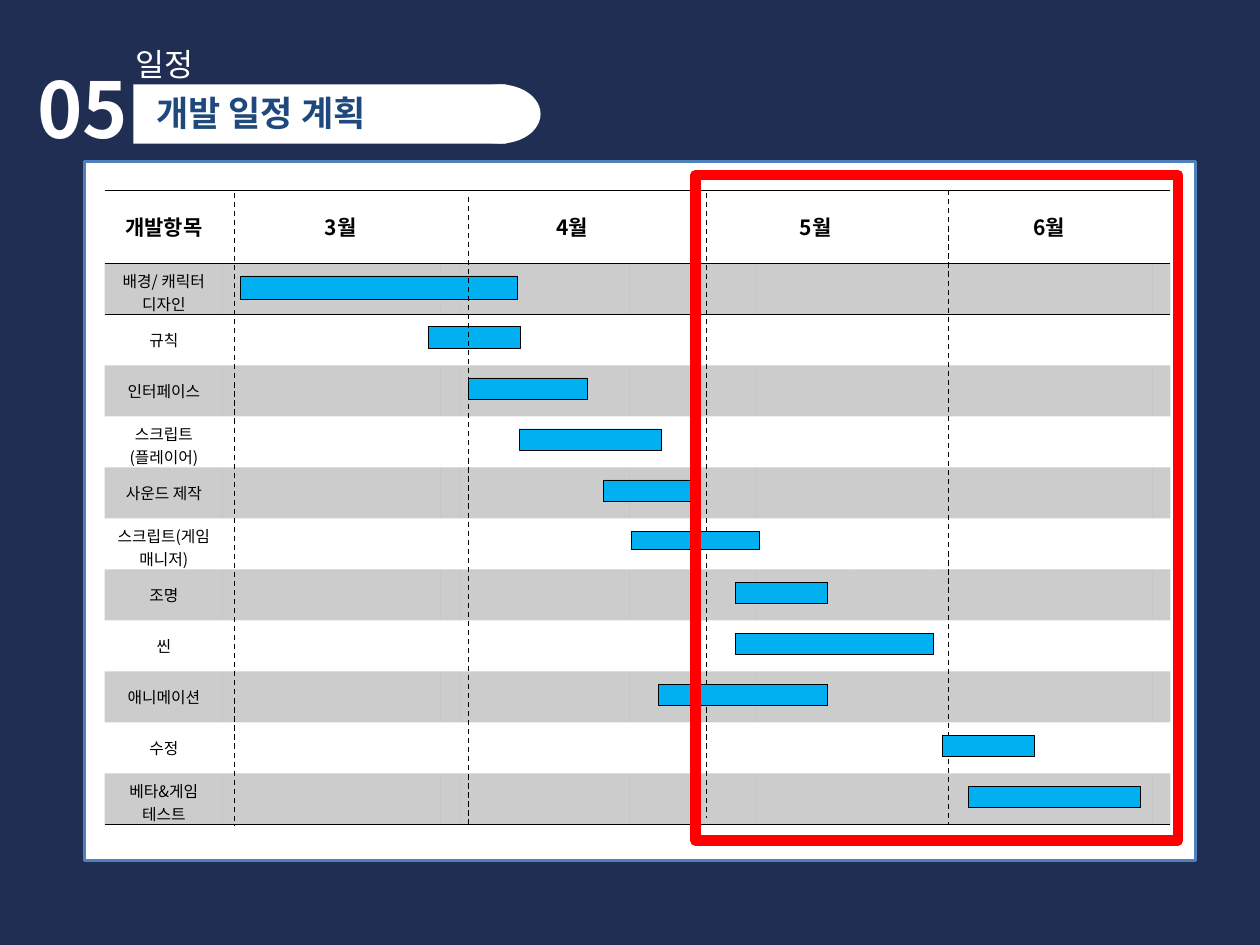
from dataclasses import dataclass

from lxml import etree
from pptx import Presentation
from pptx.dml.color import RGBColor
from pptx.enum.dml import MSO_LINE
from pptx.enum.shapes import MSO_CONNECTOR, MSO_SHAPE
from pptx.enum.text import MSO_ANCHOR, MSO_AUTO_SIZE, PP_ALIGN
from pptx.oxml.ns import qn
from pptx.util import Inches, Pt

RECTANGLE = MSO_SHAPE.RECTANGLE
OVAL = MSO_SHAPE.OVAL
STRAIGHT = MSO_CONNECTOR.STRAIGHT
DASH = MSO_LINE.DASH
TOP, MIDDLE = MSO_ANCHOR.TOP, MSO_ANCHOR.MIDDLE
LEFT, CENTER = PP_ALIGN.LEFT, PP_ALIGN.CENTER
FIT_SHAPE = MSO_AUTO_SIZE.SHAPE_TO_FIT_TEXT
PLAIN_TABLE = "{2D5ABB26-0587-4C30-8999-92F81FD0307C}"


@dataclass(frozen=True)
class Theme:
    font: str = "Noto Sans CJK KR"
    navy: str = "212E53"
    white: str = "FFFFFF"
    black: str = "000000"
    title: str = "1F497D"
    frame: str = "4F81BD"
    bar: str = "00B0F0"
    highlight: str = "FF0000"
    number_size: int = 44
    title_size: int = 20
    section_size: int = 18
    header_size: int = 12
    label_size: int = 9
    band_opacity: int = 20


THEME = Theme()

TABLE_LEFT, TABLE_TOP = 0.83, 1.51
HEADER_HEIGHT, ROW_HEIGHT = 0.58, 0.405
BAR_OFFSET = 0.1
COLUMN_WIDTHS = [0.94, 1.73, 0.15, 1.35, 1, 0.75, 0.65, 1.75, 0.13]
HEADERS = {0: ("개발항목", 0), 1: ("3월", 0.14), 3: ("4월", 0.43),
           5: ("5월", 0.2), 7: ("6월", 0.1)}
MONTH_LINES = [(1.86, 1.53, 6.55), (3.72, 1.56, 6.55),
               (5.61, 1.53, 6.49), (7.53, 1.51, 6.55)]
TASKS = [
    ("배경/ 캐릭터\n디자인", 1.91, 2.2, 0.19),
    ("규칙", 3.4, 0.73, 0.17),
    ("인터페이스", 3.72, 0.94, 0.17),
    ("스크립트(플레이어)", 4.12, 1.13, 0.17),
    ("사운드 제작", 4.79, 0.73, 0.17),
    ("스크립트(게임 매니저)", 5.01, 1.02, 0.15),
    ("조명", 5.84, 0.73, 0.17),
    ("씬", 5.84, 1.57, 0.17),
    ("애니메이션", 5.23, 1.34, 0.17),
    ("수정", 7.48, 0.73, 0.17),
    ("베타&게임\n테스트", 7.69, 1.36, 0.17),
]
TASKS_BEHIND_LINES = 2


def color(value):
    return RGBColor.from_string(value)


def format_text(frame, size, ink, bold=False, align=LEFT):
    for para in frame.paragraphs:
        para.alignment = align
        for span in para.runs:
            span.font.name = THEME.font
            span.font.size = Pt(size)
            span.font.bold = bold
            span.font.color.rgb = color(ink)
            properties = span.font._element
            etree.SubElement(properties, qn("a:ea"), typeface=THEME.font)


def add_text(page, text, bounds, size, bold=False):
    box = page.shapes.add_textbox(*map(Inches, bounds))
    frame = box.text_frame
    frame.text = text
    frame.word_wrap = True
    frame.auto_size = FIT_SHAPE
    format_text(frame, size, THEME.white, bold)


def add_shape(shapes, kind, bounds, fill=None, line=None, width=0):
    shape = shapes.add_shape(kind, *map(Inches, bounds))
    shape.shadow.inherit = False
    if fill:
        shape.fill.solid()
        shape.fill.fore_color.rgb = color(fill)
    else:
        shape.fill.background()
    if line:
        shape.line.color.rgb = color(line)
        shape.line.width = Pt(width)
    else:
        shape.line.fill.background()


def add_month_line(page, x, top, bottom):
    line = page.shapes.add_connector(
        STRAIGHT, Inches(x), Inches(top), Inches(x), Inches(bottom))
    line.line.color.rgb = color(THEME.black)
    line.line.width = Pt(0.75)
    line.line.dash_style = DASH
    etree.SubElement(line._element.spPr, qn("a:effectLst"))


def add_heading(page):
    add_text(page, "05", (0.2, 0.44, 1.1, 0.84), THEME.number_size, True)
    banner = page.shapes.add_group_shape()
    add_shape(banner.shapes, RECTANGLE, (1.06, 0.67, 2.96, 0.47), THEME.white)
    add_shape(banner.shapes, OVAL, (3.64, 0.67, 0.65, 0.47), THEME.white)
    title = page.shapes.title
    title.left, title.top, title.width, title.height = map(
        Inches, (1.14, 0.68, 2.92, 0.44))
    frame = title.text_frame
    frame.text = "개발 일정 계획"
    frame.vertical_anchor = TOP
    frame.auto_size = FIT_SHAPE
    format_text(frame, THEME.title_size, THEME.title, True)
    banner._element.addnext(title._element)
    add_text(page, "일정", (0.98, 0.31, 2.24, 0.4), THEME.section_size)


def add_border(cell, side):
    properties = cell._tc.get_or_add_tcPr()
    line = etree.Element(qn(f"a:{side}"), w=str(Pt(0.45)))
    fill = etree.SubElement(line, qn("a:solidFill"))
    etree.SubElement(fill, qn("a:srgbClr"), val=THEME.black)
    position = 1 if side == "lnB" and len(properties.findall(qn("a:lnT"))) else 0
    properties.insert(position, line)


def format_cell(cell, banded, text, size, bold, indent=0):
    cell.margin_left = Inches(0.05 + indent)
    cell.margin_right = cell.margin_top = cell.margin_bottom = Inches(0.05)
    cell.vertical_anchor = MIDDLE
    if banded:
        cell.fill.solid()
        cell.fill.fore_color.rgb = color(THEME.black)
        tint = cell._tc.tcPr.find(".//" + qn("a:srgbClr"))
        etree.SubElement(tint, qn("a:alpha"), val=str(THEME.band_opacity * 1000))
    else:
        cell.fill.background()
    if text:
        cell.text_frame.text = text
        format_text(cell.text_frame, size, THEME.black, bold, CENTER)
    else:
        para = cell.text_frame.paragraphs[0]
        etree.SubElement(para._p, qn("a:endParaRPr"), sz=str(size * 100))


def add_schedule(page):
    row_count = len(TASKS) + 1
    frame = page.shapes.add_table(
        row_count, len(COLUMN_WIDTHS), Inches(TABLE_LEFT), Inches(TABLE_TOP),
        Inches(sum(COLUMN_WIDTHS)),
        Inches(HEADER_HEIGHT + ROW_HEIGHT * len(TASKS)))
    table = frame.table
    table.first_row = table.horz_banding = False
    table._tbl.tblPr.find(qn("a:tableStyleId")).text = PLAIN_TABLE
    for column, width in zip(table.columns, COLUMN_WIDTHS):
        column.width = Inches(width)
    for index, row in enumerate(table.rows):
        row.height = Inches(ROW_HEIGHT if index else HEADER_HEIGHT)
        for number, cell in enumerate(row.cells):
            if index == 0:
                text, indent = HEADERS.get(number, ("", 0))
                format_cell(cell, False, text, THEME.header_size, True, indent)
                add_border(cell, "lnT")
            else:
                text = TASKS[index - 1][0] if number == 0 else ""
                format_cell(cell, index % 2 == 1, text, THEME.label_size, False)
            if index == 1:
                add_border(cell, "lnT")
            if index in (0, row_count - 1):
                add_border(cell, "lnB")


def add_bars(page, first, last):
    for index in range(first, last):
        _, left, width, height = TASKS[index]
        top = TABLE_TOP + HEADER_HEIGHT + ROW_HEIGHT * index + BAR_OFFSET
        add_shape(page.shapes, RECTANGLE, (left, top, width, height),
                  THEME.bar, THEME.black, 0.5)


def main():
    deck = Presentation()
    deck.slide_width, deck.slide_height = Inches(10), Inches(7.5)
    page = deck.slides.add_slide(deck.slide_layouts[5])
    page.background.fill.solid()
    page.background.fill.fore_color.rgb = color(THEME.navy)
    add_shape(page.shapes, RECTANGLE, (0.67, 1.28, 8.82, 5.55),
              THEME.white, THEME.frame, 2)
    add_heading(page)
    add_schedule(page)
    add_bars(page, 0, TASKS_BEHIND_LINES)
    for x, top, bottom in MONTH_LINES:
        add_month_line(page, x, top, bottom)
    add_bars(page, TASKS_BEHIND_LINES, len(TASKS))
    add_shape(page.shapes, RECTANGLE, (5.52, 1.39, 3.83, 5.28),
              line=THEME.highlight, width=6)
    deck.save("out.pptx")


if __name__ == "__main__":
    main()
